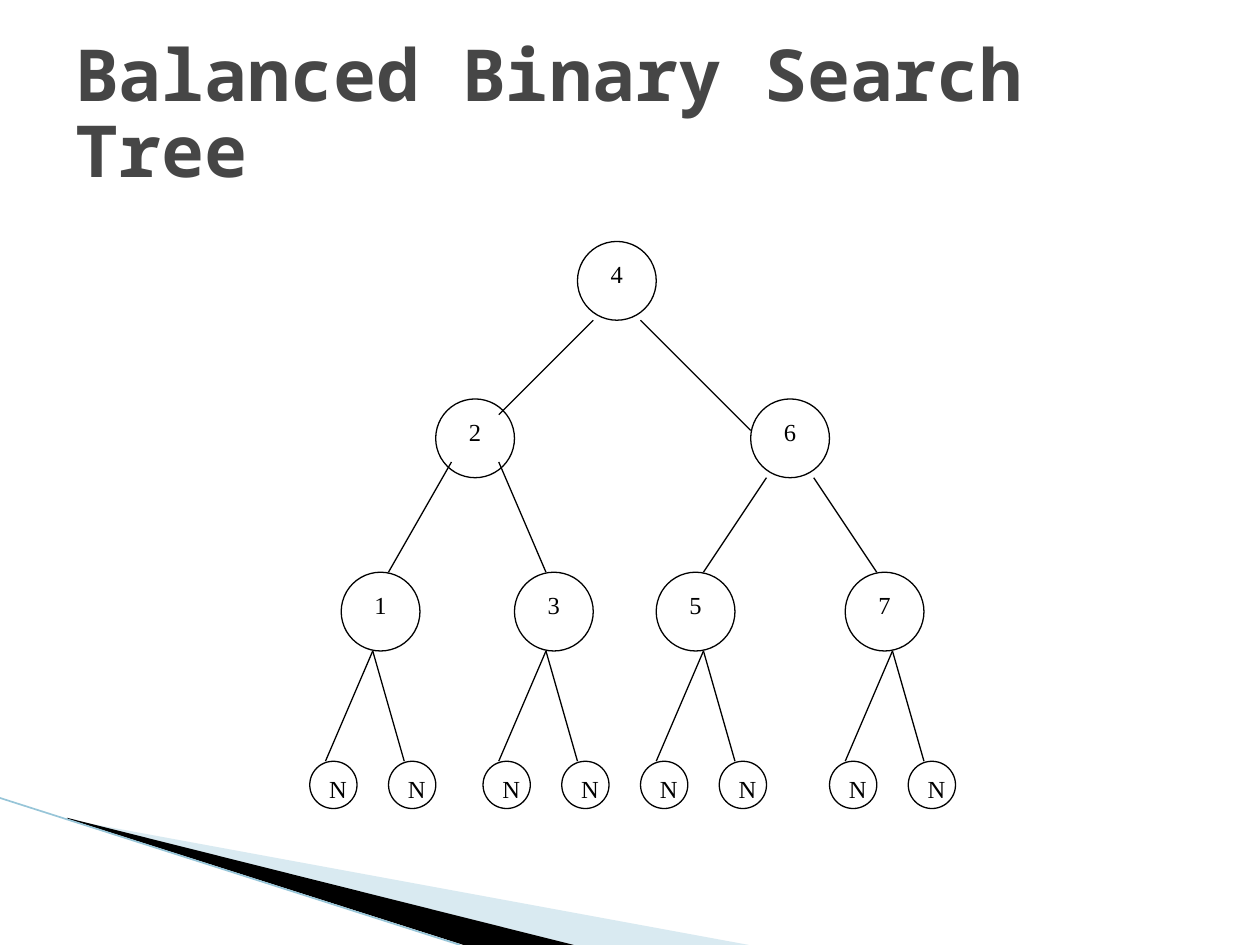
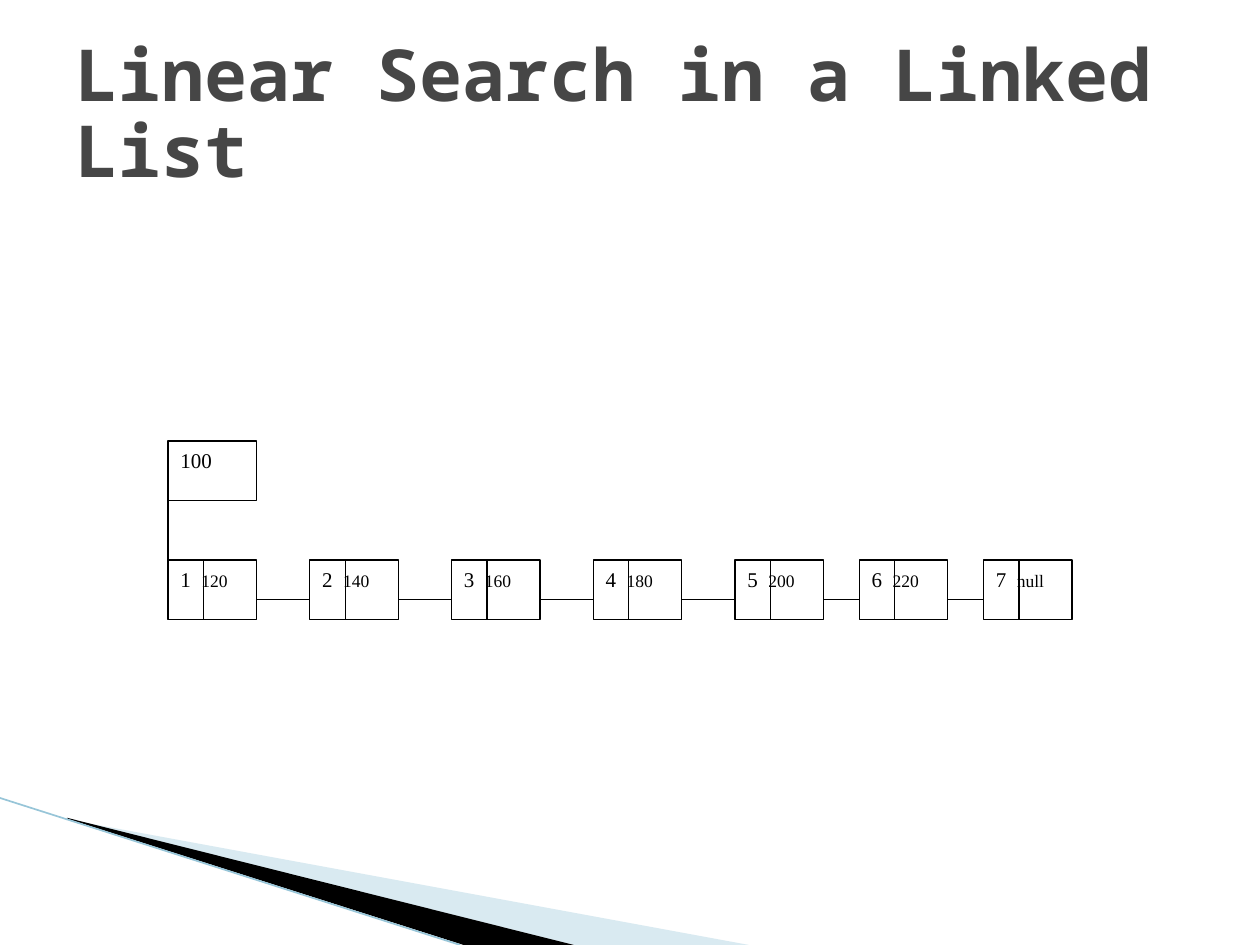
from dataclasses import dataclass

from lxml import etree
from pptx import Presentation
from pptx.dml.color import RGBColor
from pptx.enum import shapes, text
from pptx.oxml.ns import qn
from pptx.util import Pt


@dataclass(frozen=True)
class Theme:
    ink: RGBColor = RGBColor(0x00, 0x00, 0x00)
    paper: RGBColor = RGBColor(0xFF, 0xFF, 0xFF)
    head: RGBColor = RGBColor(0x46, 0x46, 0x46)
    pale: RGBColor = RGBColor(0xA0, 0xCB, 0xDC)
    rim: RGBColor = RGBColor(0x97, 0xC5, 0xD8)
    sans: str = "Noto Sans Mono"
    serif: str = "Times New Roman"
    title: float = 41
    node: float = 14
    cell: float = 12
    next: float = 10
    line: float = 0.75
    edge: float = 0.95


theme = Theme()


def node(slide, kind, left, top, width, height, runs, align):
    """Outlined shape whose text is given as (words, size) runs."""
    shape = slide.shapes.add_shape(kind, Pt(left), Pt(top), Pt(width), Pt(height))
    shape.shadow.inherit = False
    shape.fill.solid()
    shape.fill.fore_color.rgb = theme.paper
    shape.line.color.rgb = theme.ink
    shape.line.width = Pt(theme.line)
    frame = shape.text_frame
    frame.word_wrap = True
    frame.vertical_anchor = text.MSO_ANCHOR.TOP
    par = frame.paragraphs[0]
    par.alignment = align
    if len(runs) > 1:
        stops = etree.SubElement(par._p.get_or_add_pPr(), qn("a:tabLst"))
        etree.SubElement(stops, qn("a:tab"), pos=str(Pt(12)), algn="l")
    for words, size in runs:
        run = par.add_run()
        run.text = words
        run.font.name = theme.serif
        run.font.size = Pt(size)
        run.font.color.rgb = theme.ink


def link(slide, x1, y1, x2, y2, color=theme.ink, width=theme.line):
    line = slide.shapes.add_connector(
        shapes.MSO_CONNECTOR.STRAIGHT, Pt(x1), Pt(y1), Pt(x2), Pt(y2))
    line.line.color.rgb = color
    line.line.width = Pt(width)
    etree.SubElement(line.element.spPr, qn("a:effectLst"))
    return line


deck = Presentation()
deck.slide_width, deck.slide_height = Pt(720), Pt(540)
layout = deck.slide_layouts[5]

# Title place, shared through the layout
head = layout.placeholders[0]
head.left, head.top, head.width, head.height = Pt(36), Pt(21.6), Pt(648), Pt(90)

# Slides and titles
slides = []
for words in ("Balanced Binary Search Tree", "Linear Search in a Linked List"):
    slide = deck.slides.add_slide(layout)
    frame = slide.shapes.title.text_frame
    frame.word_wrap = True
    frame.auto_size = text.MSO_AUTO_SIZE.NONE
    frame.vertical_anchor = text.MSO_ANCHOR.MIDDLE
    par = frame.paragraphs[0]
    par.alignment = text.PP_ALIGN.LEFT
    par.line_spacing = 0.88
    run = par.add_run()
    run.text = words
    run.font.name = theme.sans
    run.font.size = Pt(theme.title)
    run.font.bold = True
    run.font.color.rgb = theme.head
    slides.append(slide)
tree, chain = slides

# Corner wedges, drawn once and moved to the layout
wedges = (
    (theme.pale, 40, ((39.6, 468.5), (428, 540), (328, 540), (39.6, 468))),
    (theme.ink, 100, ((38.2, 467.3), (328, 540), (265, 540), (38.9, 468))),
)
for color, alpha, points in wedges:
    corners = [(Pt(x), Pt(y)) for x, y in points]
    path = tree.shapes.build_freeform(*corners[0])
    path.add_line_segments(corners[1:], close=True)
    wedge = path.convert_to_shape()
    wedge.shadow.inherit = False
    wedge.fill.solid()
    wedge.fill.fore_color.rgb = color
    wedge.line.fill.background()
    tint = wedge.element.spPr.find(qn("a:solidFill"))[0]
    etree.SubElement(tint, qn("a:alpha"), val=str(alpha * 1000))
    layout.shapes.element.append(wedge.element)
rim = link(tree, 0, 456, 263, 540, theme.rim, theme.edge)
layout.shapes.element.append(rim.element)

# Slide 1: tree
oval, mid = shapes.MSO_SHAPE.OVAL, text.PP_ALIGN.CENTER
keys = (
    ("4", 330, 138),
    ("2", 249, 228), ("6", 429, 228),
    ("1", 195, 327), ("3", 294, 327), ("5", 375, 327), ("7", 483, 327),
)
for key, left, top in keys:
    node(tree, oval, left, top, 45, 45, [(key, theme.node)], mid)

edges = (
    (339, 183, 285, 237), (366, 183, 429, 246),
    (258, 264, 222, 327), (285, 264, 312, 327),
    (438, 273, 402, 327), (465, 273, 501, 327),
)
for ends in edges:
    link(tree, *ends)

for fork in (213, 312, 402, 510):
    for foot in (fork - 27, fork + 18):
        node(tree, oval, foot - 9, 435, 27, 27, [("N", theme.node)], mid)
        link(tree, fork, 372, foot, 435)

# Slide 2: linked list
box, side = shapes.MSO_SHAPE.RECTANGLE, text.PP_ALIGN.LEFT
wide, high, top = 50.6, 34, 320
lefts = [96 + 81 * i for i in range(5)] + [491, 562]
nexts = ("120", "140", "160", "180", "200", "220", "null")

node(chain, box, lefts[0], 252, wide, high, [("100", theme.cell)], side)
link(chain, lefts[0], 252 + high, lefts[0], top)
for num, (left, after) in enumerate(zip(lefts, nexts), 1):
    runs = [(f"{num}\t", theme.cell), (after, theme.next)]
    node(chain, box, left, top, wide, high, runs, side)
    link(chain, left + 20.25, top, left + 20.25, top + high)
for left, right in zip(lefts, lefts[1:]):
    link(chain, left + wide, 342.75, right, 342.75)

deck.save("out.pptx")
